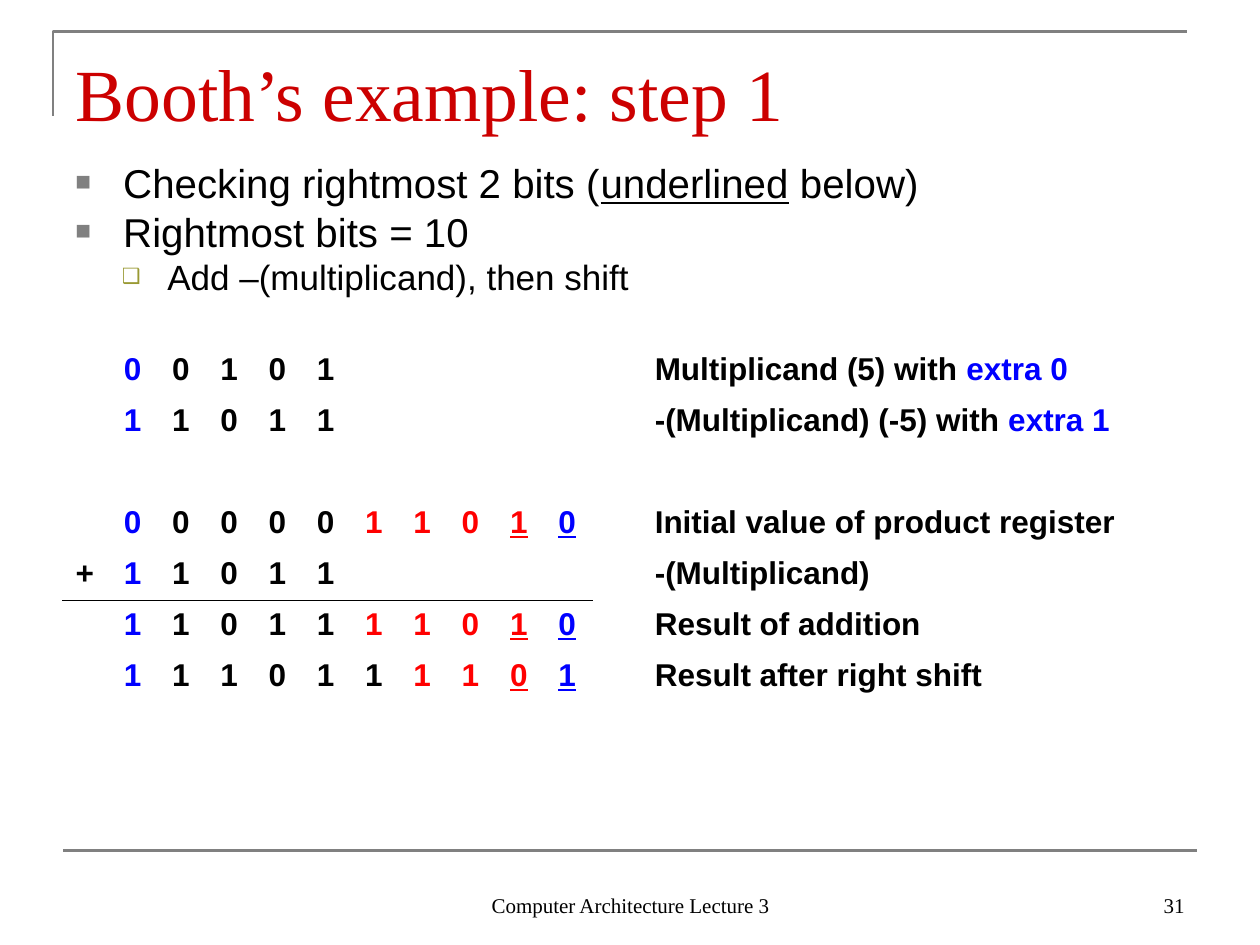
from lxml import etree
from pptx import Presentation
from pptx import util as u
from pptx.dml import color
from pptx.enum import shapes, text
from pptx.oxml import ns

SERIF, SANS = "Times New Roman", "Arial"
BLACK, BLUE, RED, GRAY = "000000", "0000FF", "FF0000", "808080"
BIT_COLORS = {"k": BLACK, "b": BLUE, "r": RED}

BULLETS = [
    (0, [("Checking rightmost 2 bits (", False), ("underlined", True), (" below)", False)]),
    (0, [("Rightmost bits = 10", False)]),
    (1, [("Add –(multiplicand), then shift", False)]),
]
BULLET_STYLES = [
    dict(size=23, before=5.8, left=0.38, hang=0.38, mark="■", mark_color=GRAY, percent=65),
    dict(size=20, before=5, left=0.73, hang=0.36, mark="❑", mark_color="999933", percent=60),
]

STEPS = [
    ("", "00101", "bkkkk", [("Multiplicand (5) with ", BLACK), ("extra 0", BLUE)]),
    ("", "11011", "bkkkk", [("-(Multiplicand) (-5) with ", BLACK), ("extra 1", BLUE)]),
    ("", "", "", []),
    ("", "0000011010", "bkkkkrrrrb", [("Initial value of product register", BLACK)]),
    ("+", "11011", "bkkkk", [("-(Multiplicand)", BLACK)]),
    ("", "1101111010", "bkkkkrrrrb", [("Result of addition", BLACK)]),
    ("", "1110111101", "bkkkkkrrrb", [("Result after right shift", BLACK)]),
]
REGISTER_BITS = 10
NOTE_COLUMN = 12
SUM_ROW = 4


def rgb(value):
    return color.RGBColor.from_string(value)


def add_run(paragraph, words, size, font, ink=BLACK, bold=False, underline=False):
    run = paragraph.add_run()
    run.text = words
    run.font.size = u.Pt(size)
    run.font.name = font
    run.font.bold = bold
    run.font.underline = underline
    run.font.color.rgb = rgb(ink)


def add_child(parent, tag, **attributes):
    return etree.SubElement(parent, ns.qn(tag), attributes)


def style_line(line):
    line.color.rgb = rgb(GRAY)
    line.width = u.Pt(1.5)


def add_frame_lines(slide):
    builder = slide.shapes.build_freeform(u.Inches(0.42), u.Inches(0.92))
    builder.add_line_segments(
        [(u.Inches(0.42), u.Inches(0.25)), (u.Inches(9.42), u.Inches(0.25))], close=False)
    corner = builder.convert_to_shape()
    corner.shadow.inherit = False
    corner.fill.background()
    style_line(corner.line)

    rule = slide.shapes.add_connector(
        shapes.MSO_CONNECTOR.STRAIGHT,
        u.Inches(0.5), u.Inches(6.75), u.Inches(9.5), u.Inches(6.75))
    style_line(rule.line)
    add_child(rule._element.spPr, "a:effectLst")


def set_title(slide, words):
    title = slide.shapes.title
    title.left, title.top = u.Inches(0.5), u.Inches(0.3)
    title.width, title.height = u.Inches(9), u.Inches(0.78)
    frame = title.text_frame
    frame.auto_size = text.MSO_AUTO_SIZE.NONE
    frame.vertical_anchor = text.MSO_ANCHOR.BOTTOM
    frame.margin_bottom = 0
    frame.paragraphs[0].alignment = text.PP_ALIGN.LEFT
    add_run(frame.paragraphs[0], words, 42, SERIF, "CC0000")


def add_text_frame(slide, left, top, width, height):
    box = slide.shapes.add_textbox(
        u.Inches(left), u.Inches(top), u.Inches(width), u.Inches(height))
    box.text_frame.word_wrap = True
    return box.text_frame


def add_bullet_mark(paragraph, style):
    properties = paragraph._p.get_or_add_pPr()
    properties.set("marL", str(u.Inches(style["left"])))
    properties.set("indent", str(-u.Inches(style["hang"])))
    add_child(add_child(properties, "a:buClr"), "a:srgbClr", val=style["mark_color"])
    add_child(properties, "a:buSzPct", val=str(style["percent"] * 1000))
    add_child(properties, "a:buFont", typeface=SANS)
    add_child(properties, "a:buChar", char=style["mark"])


def add_bullets(slide):
    frame = add_text_frame(slide, 0.5, 1.25, 9, 1.17)
    frame.margin_top = u.Inches(0.08)
    for index, (level, pieces) in enumerate(BULLETS):
        style = BULLET_STYLES[level]
        paragraph = frame.add_paragraph() if index else frame.paragraphs[0]
        paragraph.level = level
        add_bullet_mark(paragraph, style)
        paragraph.line_spacing = 0.8
        if index:
            paragraph.space_before = u.Pt(style["before"])
        for words, underline in pieces:
            add_run(paragraph, words, style["size"], SANS, underline=underline)


def add_footer(slide, words, left, width, alignment):
    frame = add_text_frame(slide, left, 6.83, width, 0.5)
    frame.vertical_anchor = text.MSO_ANCHOR.BOTTOM
    frame.paragraphs[0].alignment = alignment
    add_run(frame.paragraphs[0], words, 12, SERIF)


def add_border(cell, tag):
    border = etree.Element(ns.qn(tag), w=str(u.Pt(0.45)))
    add_child(add_child(border, "a:solidFill"), "a:srgbClr", val=BLACK)
    cell._tc.get_or_add_tcPr().insert(0, border)


def write_cell(cell, words, ink=BLACK, underline=False):
    add_run(cell.text_frame.paragraphs[0], words, 18, SANS, ink, True, underline)


def add_steps_table(slide):
    table = slide.shapes.add_table(
        len(STEPS), NOTE_COLUMN + 1,
        u.Inches(0.5), u.Inches(2.74), u.Inches(8.62), u.Inches(2.84)).table
    table.first_row = table.horz_banding = False
    for column in table.columns:
        column.width = u.Inches(4.6 / NOTE_COLUMN)
    table.columns[NOTE_COLUMN].width = u.Inches(4.02)
    for cell in table.iter_cells():
        cell.fill.background()

    for row, (sign, bits, inks, note) in enumerate(STEPS):
        if sign:
            write_cell(table.cell(row, 0), sign)
        for column, (bit, ink) in enumerate(zip(bits, inks), start=1):
            checked = column > REGISTER_BITS - 2
            write_cell(table.cell(row, column), bit, BIT_COLORS[ink], checked)
        for words, ink in note:
            write_cell(table.cell(row, NOTE_COLUMN), words, ink)

    for column in range(REGISTER_BITS + 1):
        add_border(table.cell(SUM_ROW, column), "a:lnB")
        add_border(table.cell(SUM_ROW + 1, column), "a:lnT")


def main():
    deck = Presentation()
    deck.slide_width, deck.slide_height = u.Inches(10), u.Inches(7.5)
    slide = deck.slides.add_slide(deck.slide_layouts[5])
    add_frame_lines(slide)
    set_title(slide, "Booth’s example: step 1")
    add_bullets(slide)
    add_footer(slide, "Computer Architecture Lecture 3", 3.42, 3.17, text.PP_ALIGN.CENTER)
    add_footer(slide, "31", 7.17, 2.33, text.PP_ALIGN.RIGHT)
    add_steps_table(slide)
    deck.save("out.pptx")


if __name__ == "__main__":
    main()
